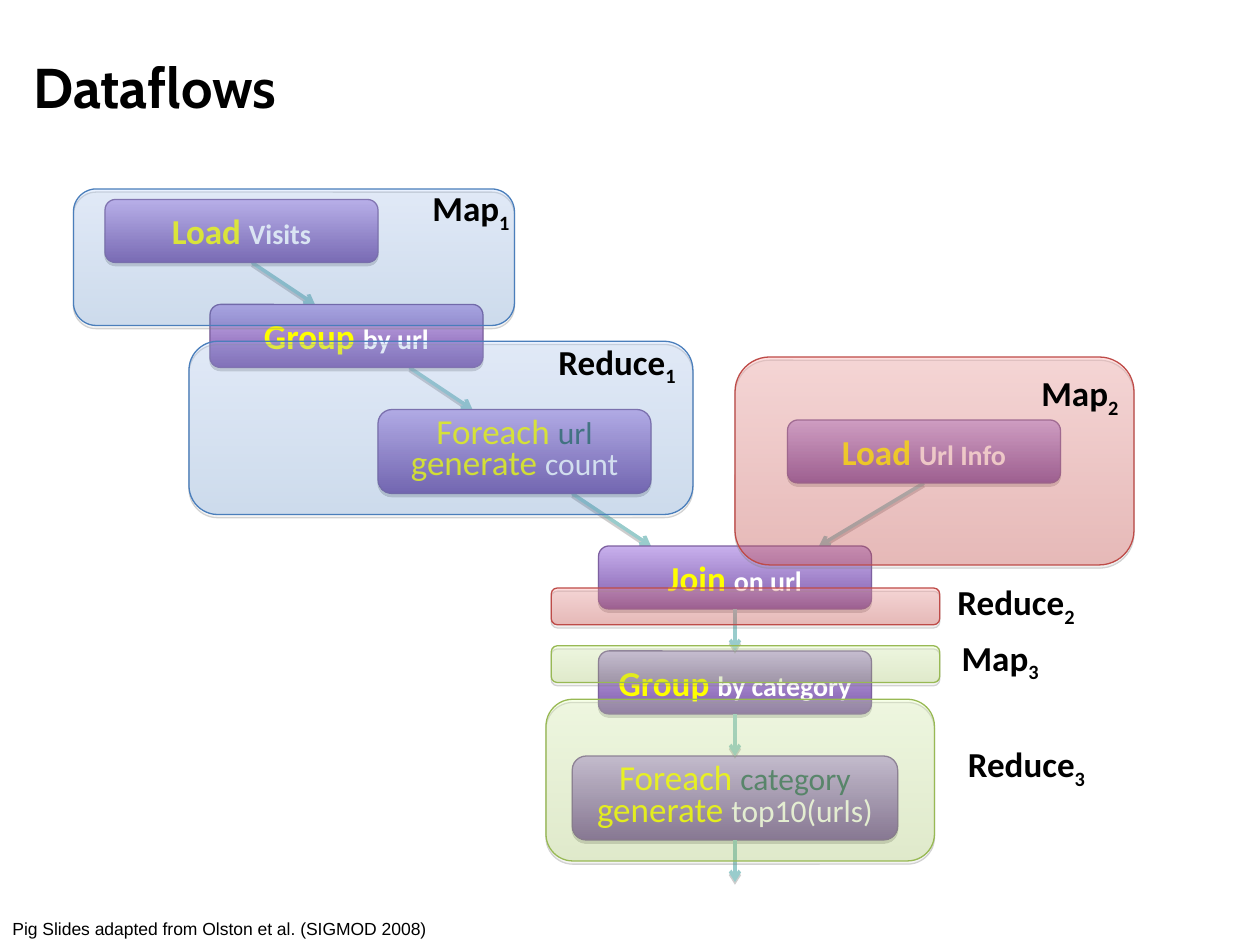
from dataclasses import dataclass

from lxml.etree import SubElement as Sub
from pptx import Presentation
from pptx.dml.color import RGBColor as Rgb
from pptx.enum.shapes import MSO_CONNECTOR as Link, MSO_SHAPE as Form
from pptx.enum.text import MSO_ANCHOR as Anchor, PP_ALIGN as Align
from pptx.oxml.ns import qn
from pptx.util import Inches, Pt


@dataclass(frozen=True)
class Theme:
    head: str = "Cabin"
    body: str = "Calibri"
    foot: str = "Arial"
    black: str = "000000"
    white: str = "FFFFFF"
    verb: str = "FFFF00"
    key: str = "336666"
    arrow: str = "99CCCC"
    shade: str = "808080"
    # Each tone: gradient top, gradient bottom, line, opacity in percent
    step: tuple = ("C8B0ED", "7F5BAB", "7D60A0", 100)
    blue: tuple = ("9BC1FF", "3F80CD", "4A7EBB", 21)
    red: tuple = ("FF9A99", "D1403C", "BE4B48", 31)
    green: tuple = ("DCFFA0", "A0CA4A", "98B954", 24)
    title: int = 32
    large: int = 20
    mid: int = 18
    small: int = 16
    note: int = 10


def cell(n):
    """Length of n grid cells, twelve to the inch."""
    return Inches(n / 12)


def write(para, text, font, size, color, bold=False, base=0):
    run = para.add_run()
    run.text = text
    run.font.name, run.font.size, run.font.bold = font, Pt(size), bold
    run.font.color.rgb = Rgb.from_string(color)
    if base:
        run.font._element.set("baseline", str(base * 1000))


def alpha(node, share):
    Sub(node, qn("a:alpha"), val=str(share * 1000))


def shadow(effects, color, share, drop):
    cast = Sub(effects, qn("a:outerShdw"), blurRad="0", dist=str(Pt(drop)),
               dir="5400000", rotWithShape="0")
    alpha(Sub(cast, qn("a:srgbClr"), val=color), share)


class Flow:
    def __init__(self, slide, theme):
        self.slide, self.theme = slide, theme

    def panel(self, x, y, w, h, tone):
        top, low, edge, share = tone
        shape = self.slide.shapes.add_shape(
            Form.ROUNDED_RECTANGLE, cell(x), cell(y), cell(w), cell(h))
        shape.fill.gradient()
        shape.fill.gradient_angle = 270
        for stop, color in zip(shape.fill.gradient_stops, (top, low)):
            stop.color.rgb = Rgb.from_string(color)
        if share < 100:
            for node in shape._element.spPr.iter(qn("a:srgbClr")):
                alpha(node, share)
        shape.line.color.rgb = Rgb.from_string(edge)
        shape.line.width = Pt(0.75)
        shape.shadow.inherit = False
        shadow(shape._element.spPr.find(qn("a:effectLst")),
               self.theme.shade, 35, 1.8)
        return shape

    def step(self, x, y, w, verb, rest):
        """Box for a one-line operation."""
        t = self.theme
        frame = self.panel(x, y, w, 6, t.step).text_frame
        frame.vertical_anchor = Anchor.MIDDLE
        para = frame.paragraphs[0]
        para.alignment = Align.CENTER
        write(para, verb + " ", t.body, t.large, t.verb, bold=True)
        write(para, rest, t.body, t.small, t.white, bold=True)

    def loop(self, x, y, w, item, result):
        """Box for a two-line foreach / generate operation."""
        t = self.theme
        frame = self.panel(x, y, w, 8, t.step).text_frame
        frame.vertical_anchor = Anchor.MIDDLE
        paras = frame.paragraphs[0], frame.add_paragraph()
        rows = ("Foreach ", item, t.key), ("generate ", result, t.white)
        for para, (verb, rest, color) in zip(paras, rows):
            para.alignment, para.line_spacing = Align.CENTER, Pt(18)
            write(para, verb, t.body, t.large, t.verb)
            write(para, rest, t.body, t.mid, color)

    def arrow(self, x1, y1, x2, y2):
        line = self.slide.shapes.add_connector(
            Link.STRAIGHT, cell(x1), cell(y1), cell(x2), cell(y2))
        line.line.color.rgb = Rgb.from_string(self.theme.arrow)
        line.line.width = Pt(2)
        Sub(line.line._get_or_add_ln(), qn("a:tailEnd"), type="arrow")
        effects = Sub(line._element.spPr, qn("a:effectLst"))
        shadow(effects, self.theme.shade, 38, 1.6)

    def text(self, x, y, w, h, anchor=Anchor.TOP):
        """Empty text box; returns its first paragraph."""
        box = self.slide.shapes.add_textbox(cell(x), cell(y), cell(w), cell(h))
        box.text_frame.word_wrap = True
        box.text_frame.vertical_anchor = anchor
        return box.text_frame.paragraphs[0]

    def label(self, x, y, w, name, index):
        t = self.theme
        para = self.text(x, y, w, 5.3)
        write(para, name, t.body, t.large, t.black, bold=True)
        write(para, index, t.body, t.large, t.black, bold=True, base=-25)


def main():
    deck = Presentation()
    deck.slide_width, deck.slide_height = Inches(10), Inches(7.5)
    t = Theme()
    flow = Flow(deck.slides.add_slide(deck.slide_layouts[6]), t)

    for ends in ((24, 25, 30, 29), (54.5, 47, 62, 52),
                 (88, 46, 78, 52), (39, 35, 45, 39)):
        flow.arrow(*ends)

    for x, y, verb, rest in ((10, 19, "Load", "Visits"),
                             (20, 29, "Group", "by url"),
                             (75, 40, "Load", "Url Info"),
                             (57, 52, "Join", "on url"),
                             (57, 62, "Group", "by category")):
        flow.step(x, y, 26, verb, rest)
    flow.loop(36, 39, 26, "url", "count")
    flow.loop(54.5, 72, 31, "category", "top10(urls)")

    for y in (58, 68, 80):
        flow.arrow(70, y, 70, y + 4)

    write(flow.text(2, 1.5, 114, 13.4, Anchor.MIDDLE), "Dataflows",
          t.head, t.title, t.black, bold=True)

    for area, tone, spot, name, index in (
            ((7, 18, 42, 13), t.blue, (40, 17.2, 10.2), "Map", "1"),
            ((18, 32.5, 48, 16.5), t.blue, (52, 31.8, 15), "Reduce", "1"),
            ((70, 34, 38, 19.8), t.red, (98, 34.8, 11.6), "Map", "2"),
            ((52.5, 56, 37, 3.5), t.red, (90, 54.7, 17.4), "Reduce", "2"),
            ((52.5, 61.5, 37, 3.5), t.green, (90.4, 60, 11.6), "Map", "3"),
            ((52, 66.6, 37, 15.4), t.green, (91, 70.1, 15.4), "Reduce", "3")):
        flow.panel(*area, tone)
        flow.label(*spot, name, index)

    write(flow.text(0, 86.8, 45, 3.2),
          "Pig Slides adapted from Olston et al. (SIGMOD 2008)",
          t.foot, t.note, t.black)
    deck.save("out.pptx")


if __name__ == "__main__":
    main()
